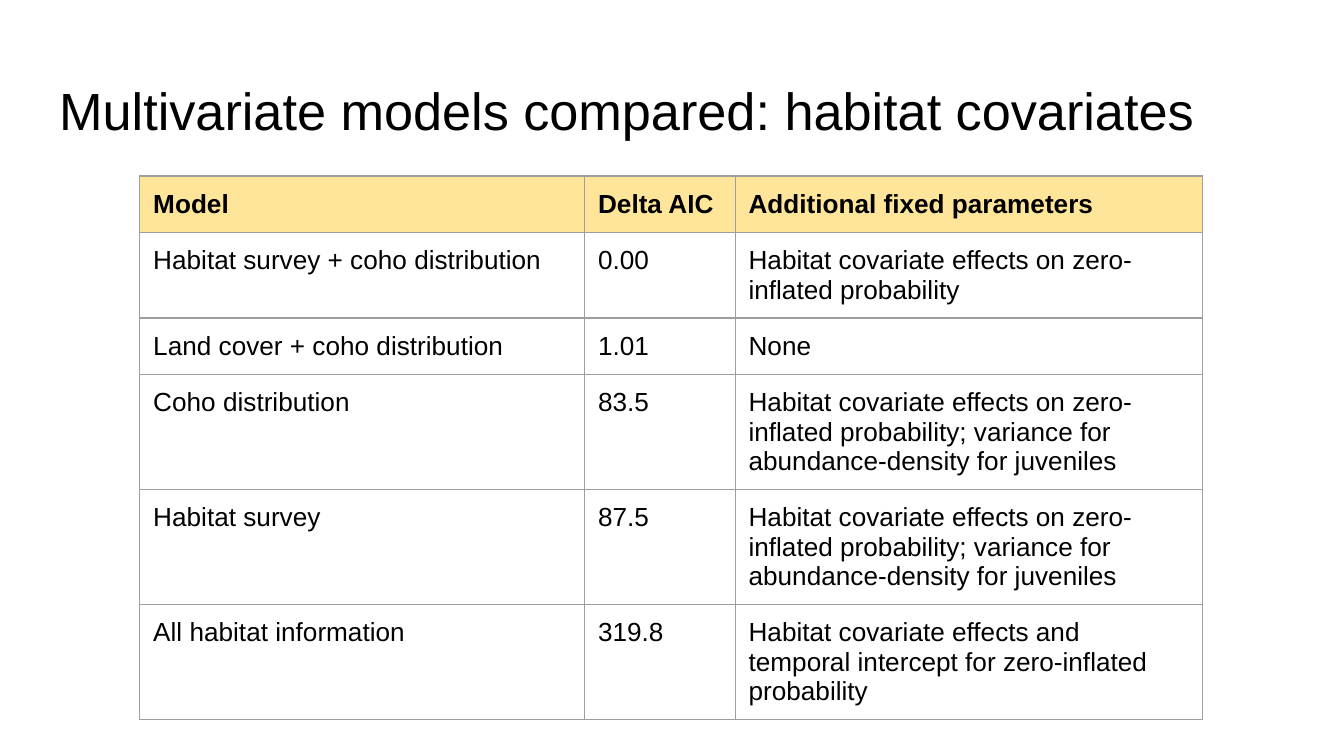
import pptx
import pptx.dml.color
import pptx.enum.text
import pptx.oxml
import pptx.oxml.ns
import pptx.util

PX = 4572
INSET = 20
ROW_HEIGHT = 84
COLUMN_WIDTHS = [662, 224, 696]

EFFECTS = "Habitat covariate effects on zero-inflated probability"
EFFECTS_AND_VARIANCE = EFFECTS + "; variance for abundance-density for juveniles"
COMPARISON = [
    ["Model", "Delta AIC", "Additional fixed parameters"],
    ["Habitat survey + coho distribution", "0.00", EFFECTS],
    ["Land cover + coho distribution", "1.01", "None"],
    ["Coho distribution", "83.5", EFFECTS_AND_VARIANCE],
    ["Habitat survey", "87.5", EFFECTS_AND_VARIANCE],
    [
        "All habitat information",
        "319.8",
        "Habitat covariate effects and temporal intercept for zero-inflated probability",
    ],
]


def px(length):
    return pptx.util.Emu(length * PX)


def color(value):
    return pptx.dml.color.RGBColor.from_string(value)


def write(frame, text, size=14, bold=False, ink="000000", font="Arial"):
    paragraph = frame.paragraphs[0]
    paragraph.alignment = pptx.enum.text.PP_ALIGN.LEFT
    run = paragraph.add_run()
    run.text = text
    run.font.name = font
    run.font.size = pptx.util.Pt(size)
    run.font.bold = bold
    run.font.color.rgb = color(ink)


def inset(holder):
    holder.margin_left = holder.margin_right = px(INSET)
    holder.margin_top = holder.margin_bottom = px(INSET)


class SlideBuilder:
    header_fill = "FFE599"
    border_color = "9E9E9E"
    border_width = 0.75

    def __init__(self, presentation):
        self.slide = presentation.slides.add_slide(presentation.slide_layouts[5])

    def title(self, text, left, top, width, height):
        heading = self.slide.shapes.title
        heading.left, heading.top = px(left), px(top)
        heading.width, heading.height = px(width), px(height)
        frame = heading.text_frame
        frame.word_wrap = True
        frame.auto_size = pptx.enum.text.MSO_AUTO_SIZE.NONE
        frame.vertical_anchor = pptx.enum.text.MSO_ANCHOR.TOP
        inset(frame)
        write(frame, text, size=28)

    def border(self, cell):
        properties = cell._tc.get_or_add_tcPr()
        for side in ("lnL", "lnR", "lnT", "lnB"):
            properties.append(pptx.oxml.parse_xml(
                f'<a:{side} {pptx.oxml.ns.nsdecls("a")} w="{pptx.util.Pt(self.border_width)}">'
                f'<a:solidFill><a:srgbClr val="{self.border_color}"/></a:solidFill>'
                f'<a:prstDash val="solid"/></a:{side}>'
            ))

    def cell(self, cell, text, header):
        inset(cell)
        cell.vertical_anchor = pptx.enum.text.MSO_ANCHOR.TOP
        write(cell.text_frame, text, bold=header)
        self.border(cell)
        if header:
            cell.fill.solid()
            cell.fill.fore_color.rgb = color(self.header_fill)
        else:
            cell.fill.background()

    def table(self, rows, left, top, widths, row_height):
        grid = self.slide.shapes.add_table(
            len(rows), len(widths), px(left), px(top),
            px(sum(widths)), px(row_height * len(rows)),
        ).table
        grid.horz_banding = False
        for column, width in zip(grid.columns, widths):
            column.width = px(width)
        for row_index, (row, texts) in enumerate(zip(grid.rows, rows)):
            row.height = px(row_height)
            for cell, text in zip(row.cells, texts):
                self.cell(cell, text, header=row_index == 0)


def main():
    presentation = pptx.Presentation()
    presentation.slide_width = px(2000)
    presentation.slide_height = px(1125)
    builder = SlideBuilder(presentation)
    builder.title("Multivariate models compared: habitat covariates", 68, 97, 1864, 126)
    builder.table(COMPARISON, 208, 262, COLUMN_WIDTHS, ROW_HEIGHT)
    presentation.save("out.pptx")


if __name__ == "__main__":
    main()
